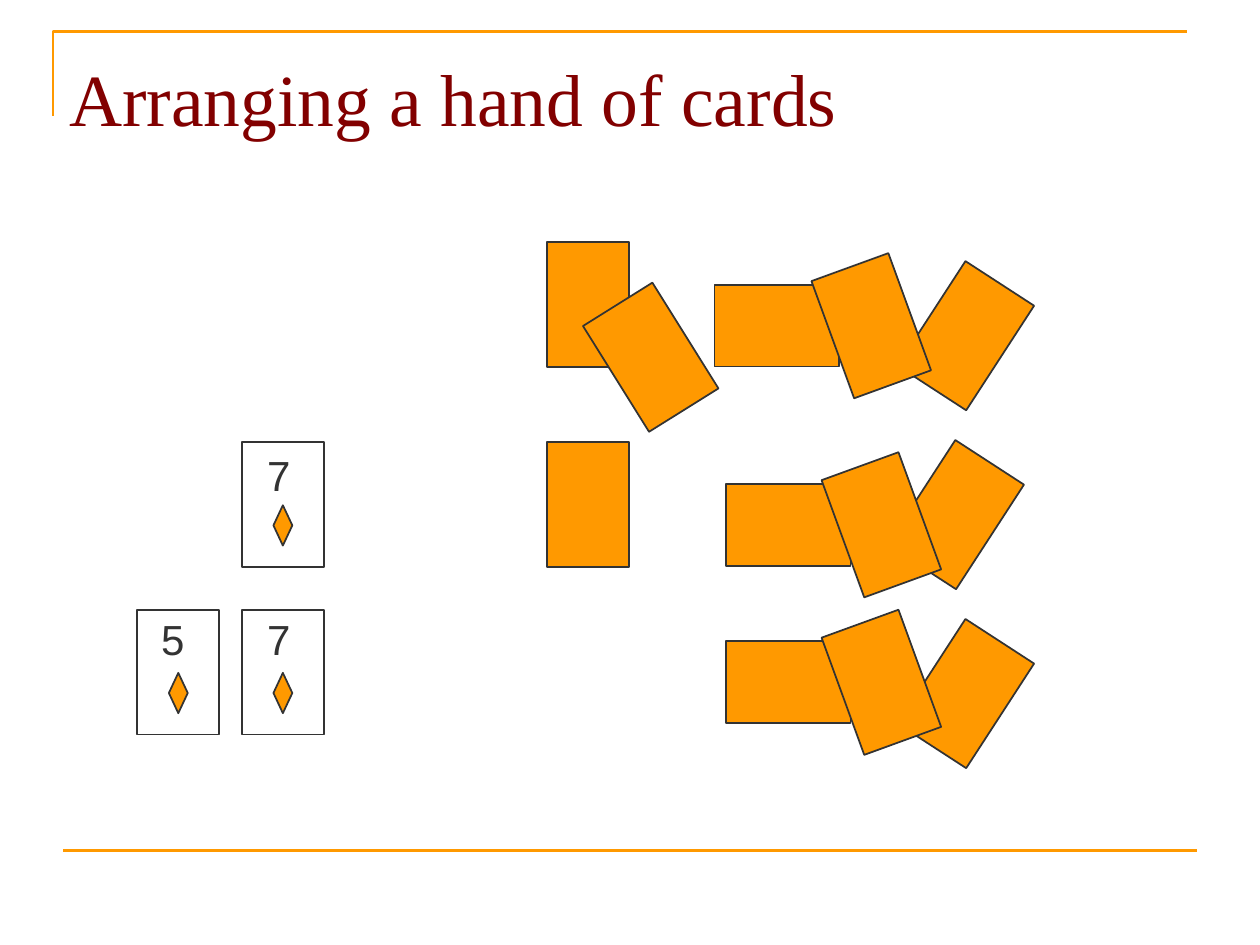
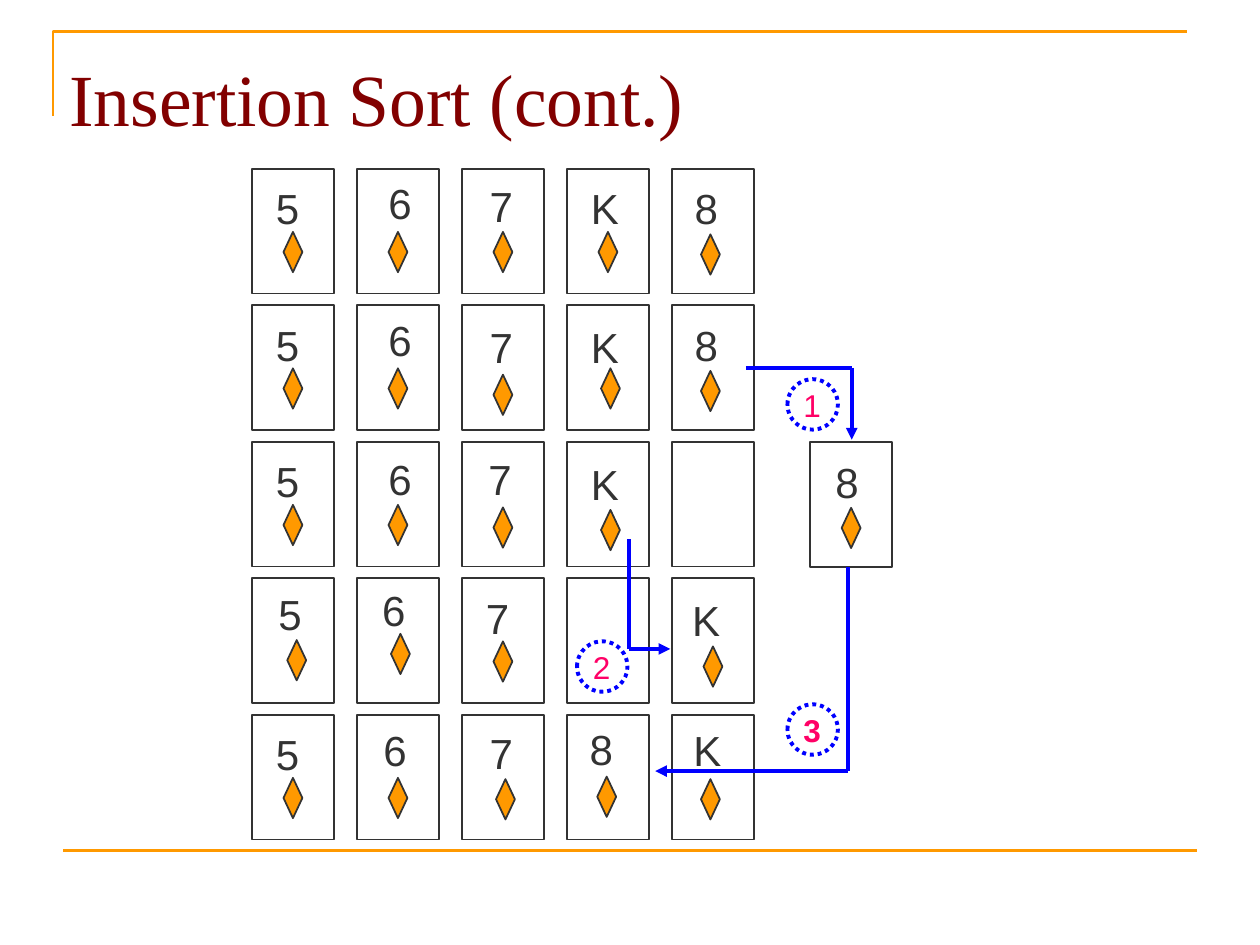
from dataclasses import dataclass
from typing import NamedTuple

from lxml.etree import SubElement
from pptx import Presentation
from pptx.dml.color import RGBColor
from pptx.enum.dml import MSO_LINE
from pptx.enum.shapes import MSO_CONNECTOR, MSO_SHAPE
from pptx.enum.text import MSO_ANCHOR, PP_ALIGN
from pptx.oxml.ns import qn
from pptx.shapes.autoshape import Shape
from pptx.shapes.shapetree import GroupShapes, SlideShapes
from pptx.slide import Slide
from pptx.util import Inches, Pt

ShapeTree = SlideShapes | GroupShapes


@dataclass(frozen=True)
class Theme:
    orange: RGBColor = RGBColor(0xFF, 0x99, 0x00)
    ink: RGBColor = RGBColor(0x33, 0x33, 0x33)
    title: RGBColor = RGBColor(0x82, 0x00, 0x00)
    arrow: RGBColor = RGBColor(0x00, 0x00, 0xFF)
    step: RGBColor = RGBColor(0xFF, 0x00, 0x66)
    title_font: str = "Times New Roman"
    body_font: str = "Arial"
    title_size: float = 42
    rank_size: float = 24
    step_size: float = 18
    outline: float = 1
    frame_line: float = 1.5
    arrow_line: float = 2.25


THEME = Theme()
CARD_WIDTH, CARD_HEIGHT = 0.65, 0.99
PIP_WIDTH, PIP_HEIGHT = 0.15, 0.32
STEP_SIZE = 0.4
GRID_LEFT, GRID_TOP = 2.0, 1.34
COLUMN_PITCH, ROW_PITCH = 5 / 6, 13 / 12


class Offset(NamedTuple):
    x: float
    y: float


class Face(NamedTuple):
    """A rank and its diamond, placed from the card's top left corner."""
    rank: str
    rank_at: Offset
    pip_at: Offset = Offset(0.25, 0.5)


class Back(NamedTuple):
    """A face-down card, turned clockwise by an angle."""
    left: float
    top: float
    angle: float = 0
    sideways: bool = False


class Step(NamedTuple):
    number: str
    left: float
    top: float
    bold: bool = False


class Arrow(NamedTuple):
    """A line through corner points, with a head on its last segment."""
    points: tuple[Offset, ...]


HAND_BACKS = (
    Back(4.34, 1.92),
    Back(5.67, 2.26, sideways=True),
    Back(7.34, 2.17, 33),
    Back(6.59, 2.09, 340),
    Back(4.84, 2.34, 328),
    Back(4.34, 3.51),
    Back(5.76, 5.09, sideways=True),
    Back(7.26, 3.59, 33),
    Back(7.34, 5.01, 33),
    Back(6.67, 4.92, 340),
    Back(5.76, 3.84, sideways=True),
    Back(6.67, 3.67, 340),
)
HAND_CARDS = (
    (1.92, 3.51, Face("7", Offset(0.15, 0.01))),
    (1.92, 4.84, Face("7", Offset(0.15, -0.02))),
    (1.09, 4.84, Face("5", Offset(0.14, -0.02))),
)
FIVE = Face("5", Offset(0.14, 0.06))
SIX = Face("6", Offset(0.2, 0.02))
EIGHT = Face("8", Offset(0.13, 0.06), Offset(0.23, 0.52))
SORT_ROWS: tuple[tuple[Face | None, ...], ...] = (
    (FIVE, SIX, Face("7", Offset(0.17, 0.04)), Face("K", Offset(0.14, 0.06)), EIGHT),
    (FIVE, SIX,
     Face("7", Offset(0.17, 0.08), Offset(0.25, 0.55)),
     Face("K", Offset(0.14, 0.08), Offset(0.27, 0.5)),
     EIGHT),
    (FIVE,
     Face("6", Offset(0.2, 0.04)),
     Face("7", Offset(0.16, 0.04), Offset(0.25, 0.52)),
     Face("K", Offset(0.14, 0.08), Offset(0.27, 0.54)),
     None),
    (Face("5", Offset(0.16, 0.03), Offset(0.28, 0.49)),
     Face("6", Offset(0.15, 0), Offset(0.27, 0.44)),
     Face("7", Offset(0.14, 0.06)),
     None,
     Face("K", Offset(0.11, 0.08), Offset(0.25, 0.54))),
    (FIVE,
     Face("6", Offset(0.16, 0.03)),
     Face("7", Offset(0.17, 0.05), Offset(0.27, 0.51)),
     Face("8", Offset(0.13, 0.02), Offset(0.24, 0.49)),
     Face("K", Offset(0.12, 0.03), Offset(0.23, 0.51))),
)
HELD_CARD = (6.43, 3.51, Face("8", Offset(0.15, 0.06), Offset(0.25, 0.52)))
ARROWS = (
    Arrow((Offset(5.92, 2.92), Offset(6.76, 2.92), Offset(6.76, 3.49))),
    Arrow((Offset(4.99, 4.28), Offset(4.99, 5.15), Offset(5.32, 5.15))),
    Arrow((Offset(6.73, 4.5), Offset(6.73, 6.12), Offset(5.2, 6.12))),
)
STEPS = (
    Step("3", 6.25, 5.59, bold=True),
    Step("1", 6.25, 3.01),
    Step("2", 4.58, 5.09),
)


def style_outline(shape: Shape, color: RGBColor, width: float,
                  fill: RGBColor | None = None) -> None:
    shape.shadow.inherit = False
    if fill is None:
        shape.fill.background()
    else:
        shape.fill.solid()
        shape.fill.fore_color.rgb = fill
    shape.line.color.rgb = color
    shape.line.width = Pt(width)


def add_outlined(shapes: ShapeTree, kind: MSO_SHAPE, left: float, top: float,
                 width: float, height: float, fill: RGBColor | None = None) -> Shape:
    shape = shapes.add_shape(kind, Inches(left), Inches(top), Inches(width), Inches(height))
    style_outline(shape, THEME.ink, THEME.outline, fill)
    return shape


def add_text(shapes: ShapeTree, text: str, left: float, top: float, width: float,
             height: float, font: str, size: float, color: RGBColor) -> Shape:
    box = shapes.add_textbox(Inches(left), Inches(top), Inches(width), Inches(height))
    frame = box.text_frame
    frame.word_wrap = False
    frame.margin_left = frame.margin_right = Inches(0.05)
    frame.margin_top = frame.margin_bottom = Inches(0.05)
    paragraph = frame.paragraphs[0]
    paragraph.text = text
    paragraph.font.name = font
    paragraph.font.size = Pt(size)
    paragraph.font.color.rgb = color
    return box


def add_line(shapes: ShapeTree, start: Offset, end: Offset, color: RGBColor,
             width: float, head: bool = False) -> None:
    connector = shapes.add_connector(
        MSO_CONNECTOR.STRAIGHT,
        Inches(start.x), Inches(start.y), Inches(end.x), Inches(end.y))
    connector.line.color.rgb = color
    connector.line.width = Pt(width)
    properties = connector.element.find(qn("p:spPr"))
    if head:
        SubElement(properties.find(qn("a:ln")), qn("a:tailEnd"), type="triangle")
    SubElement(properties, qn("a:effectLst"))


def add_framed_slide(presentation: Presentation, title: str) -> Slide:
    """Add a blank slide with the corner rule, bottom rule and title."""
    slide = presentation.slides.add_slide(presentation.slide_layouts[6])
    builder = slide.shapes.build_freeform(Inches(0.42), Inches(0.92))
    builder.add_line_segments(
        [(Inches(0.42), Inches(0.25)), (Inches(9.42), Inches(0.25))], close=False)
    style_outline(builder.convert_to_shape(), THEME.orange, THEME.frame_line)
    add_line(slide.shapes, Offset(0.5, 6.75), Offset(9.5, 6.75),
             THEME.orange, THEME.frame_line)
    box = add_text(slide.shapes, title, 0.5, 0.3, 9, 1.03,
                   THEME.title_font, THEME.title_size, THEME.title)
    box.text_frame.word_wrap = True
    box.text_frame.margin_top = Inches(0.12)
    return slide


def add_card(shapes: ShapeTree, left: float, top: float, face: Face | None) -> None:
    add_outlined(shapes, MSO_SHAPE.RECTANGLE, left, top, CARD_WIDTH, CARD_HEIGHT)
    if face is None:
        return
    width = 0.33 if face.rank == "K" else 0.3
    add_text(shapes, face.rank, left + face.rank_at.x, top + face.rank_at.y, width, 0.48,
             THEME.body_font, THEME.rank_size, THEME.ink)
    add_outlined(shapes, MSO_SHAPE.DIAMOND, left + face.pip_at.x, top + face.pip_at.y,
                 PIP_WIDTH, PIP_HEIGHT, THEME.orange)


def add_back(shapes: ShapeTree, back: Back) -> None:
    width, height = CARD_WIDTH, CARD_HEIGHT
    if back.sideways:
        width, height = height, width
    card = add_outlined(shapes, MSO_SHAPE.RECTANGLE, back.left, back.top,
                        width, height, THEME.orange)
    card.rotation = back.angle


def add_arrow(shapes: ShapeTree, arrow: Arrow) -> None:
    last = arrow.points[-1]
    for start, end in zip(arrow.points, arrow.points[1:]):
        add_line(shapes, start, end, THEME.arrow, THEME.arrow_line, head=end == last)


def add_step(shapes: ShapeTree, step: Step) -> None:
    ring = add_outlined(shapes, MSO_SHAPE.OVAL, step.left, step.top, STEP_SIZE, STEP_SIZE)
    style_outline(ring, THEME.arrow, THEME.arrow_line)
    ring.line.dash_style = MSO_LINE.ROUND_DOT
    label = add_text(shapes, step.number, step.left + 0.07, step.top + 0.01, 0.25, 0.38,
                     THEME.body_font, THEME.step_size, THEME.step)
    label.text_frame.vertical_anchor = MSO_ANCHOR.MIDDLE
    paragraph = label.text_frame.paragraphs[0]
    paragraph.alignment = PP_ALIGN.CENTER
    paragraph.font.bold = step.bold


def build_hand_slide(presentation: Presentation) -> None:
    slide = add_framed_slide(presentation, "Arranging a hand of cards")
    backs = slide.shapes.add_group_shape().shapes
    for back in HAND_BACKS:
        add_back(backs, back)
    cards = slide.shapes.add_group_shape().shapes
    for left, top, face in HAND_CARDS:
        add_card(cards, left, top, face)


def build_sort_slide(presentation: Presentation) -> None:
    slide = add_framed_slide(presentation, "Insertion Sort (cont.)")
    for row, faces in enumerate(SORT_ROWS):
        for column, face in enumerate(faces):
            add_card(slide.shapes, GRID_LEFT + column * COLUMN_PITCH,
                     GRID_TOP + row * ROW_PITCH, face)
    add_card(slide.shapes, *HELD_CARD)
    for arrow in ARROWS:
        add_arrow(slide.shapes, arrow)
    for step in STEPS:
        add_step(slide.shapes.add_group_shape().shapes, step)


def main() -> None:
    presentation = Presentation()
    presentation.slide_width = Inches(10)
    presentation.slide_height = Inches(7.5)
    build_hand_slide(presentation)
    build_sort_slide(presentation)
    presentation.save("out.pptx")


if __name__ == "__main__":
    main()
